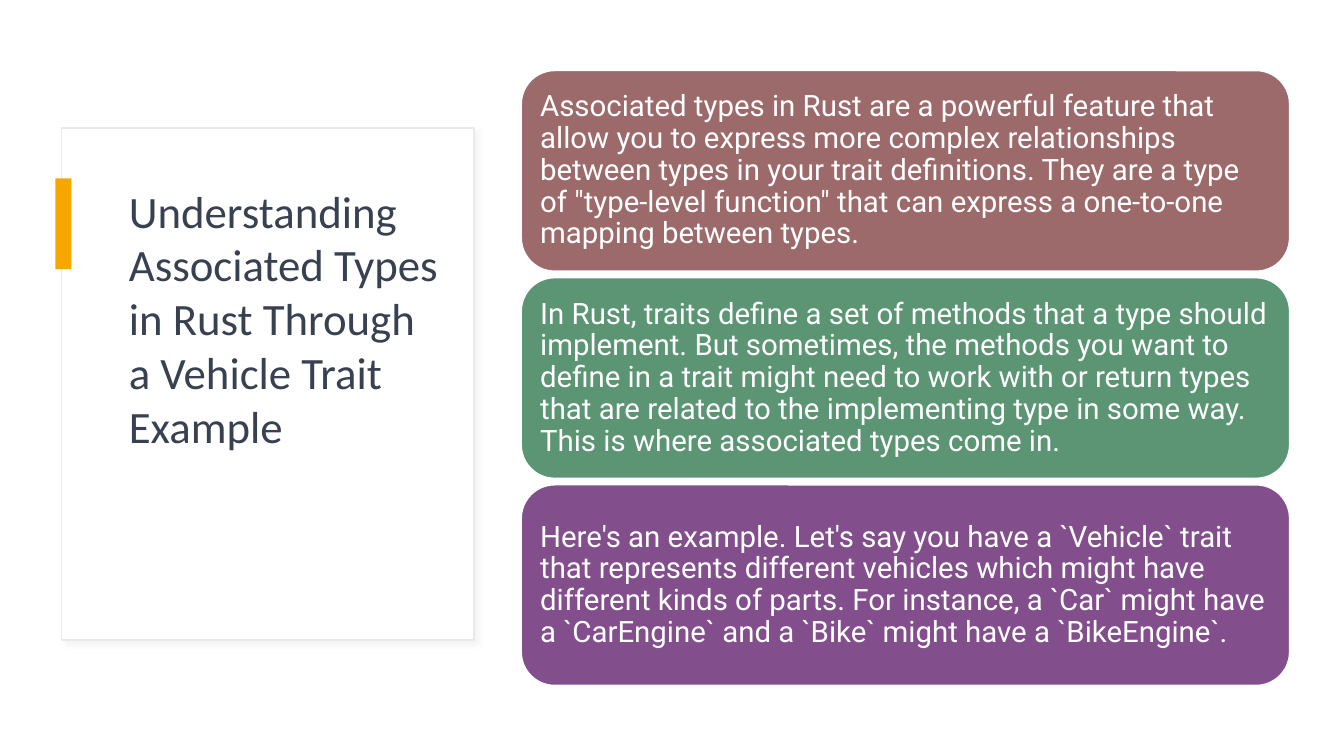
from lxml import etree
from pptx import Presentation
from pptx import util as u
from pptx.dml.color import RGBColor
from pptx.enum import shapes, text
from pptx.oxml import ns

WHITE = RGBColor(0xFF, 0xFF, 0xFF)
BORDER = RGBColor(0xE9, 0xE9, 0xE9)
SHADOW = RGBColor(0xD9, 0xD9, 0xD9)
AMBER = RGBColor(0xF5, 0xA7, 0x00)
SLATE = RGBColor(0x37, 0x41, 0x51)
ROSE = RGBColor(0x9C, 0x6A, 0x6A)
GREEN = RGBColor(0x5B, 0x95, 0x74)
PURPLE = RGBColor(0x82, 0x4F, 0x8C)

TITLE = "Understanding Associated Types in Rust Through a Vehicle Trait Example"
PANELS = [
    (ROSE, "Associated types in Rust are a powerful feature that allow you to "
     "express more complex relationships between types in your trait "
     "definitions. They are a type of \"type-level function\" that can express "
     "a one-to-one mapping between types."),
    (GREEN, "In Rust, traits define a set of methods that a type should "
     "implement. But sometimes, the methods you want to define in a trait might "
     "need to work with or return types that are related to the implementing "
     "type in some way. This is where associated types come in."),
    (PURPLE, "Here's an example. Let's say you have a `Vehicle` trait that "
     "represents different vehicles which might have different kinds of parts. "
     "For instance, a `Car` might have a `CarEngine` and a `Bike` might have a "
     "`BikeEngine`."),
]
PANEL_TOP, PANEL_HEIGHT, PANEL_PITCH = 0.7, 1.99, 2.055


def write(frame, words, *, font, size, color, spacing=1.0, inset=None,
          anchor=text.MSO_ANCHOR.TOP):
    """Fill a text frame with one left-aligned paragraph."""
    frame.word_wrap = True
    frame.vertical_anchor = anchor
    if inset is not None:
        frame.margin_left = frame.margin_right = u.Inches(inset)
        frame.margin_top = frame.margin_bottom = u.Inches(inset)
    para = frame.paragraphs[0]
    para.alignment = text.PP_ALIGN.LEFT
    para.line_spacing = spacing
    span = para.add_run()
    span.text = words
    span.font.name = font
    span.font.size = u.Pt(size)
    span.font.color.rgb = color


class Page:
    heading_font = "Calibri"
    body_font = "Roboto"

    def __init__(self, slide):
        self.slide = slide

    def block(self, kind, left, top, width, height, fill, line=None):
        box = self.slide.shapes.add_shape(
            kind, u.Inches(left), u.Inches(top), u.Inches(width), u.Inches(height))
        box.shadow.inherit = False
        box.fill.solid()
        box.fill.fore_color.rgb = fill
        if line is None:
            box.line.fill.background()
        else:
            box.line.color.rgb = line
            box.line.width = u.Pt(1)
        return box

    def card(self, left, top, width, height):
        box = self.block(shapes.MSO_SHAPE.RECTANGLE, left, top, width, height,
                         WHITE, BORDER)
        # Soft shadow towards the lower right
        effects = box._element.spPr.find(ns.qn("a:effectLst"))
        shadow = etree.SubElement(
            effects, ns.qn("a:outerShdw"), blurRad=str(u.Pt(4)),
            dist=str(u.Pt(3)), dir=str(45 * 60000), algn="tl", rotWithShape="0")
        color = etree.SubElement(shadow, ns.qn("a:srgbClr"), val=str(SHADOW))
        etree.SubElement(color, ns.qn("a:alpha"), val="30000")

    def panel(self, left, top, width, height, fill, words):
        box = self.block(shapes.MSO_SHAPE.ROUNDED_RECTANGLE, left, top, width,
                         height, fill, WHITE)
        write(box.text_frame, words, font=self.body_font, size=21, color=WHITE,
              spacing=0.9, inset=0.09, anchor=text.MSO_ANCHOR.MIDDLE)

    def heading(self, left, top, width, height, words):
        box = self.slide.shapes.add_textbox(
            u.Inches(left), u.Inches(top), u.Inches(width), u.Inches(height))
        write(box.text_frame, words, font=self.heading_font, size=32, color=SLATE)


def main():
    deck = Presentation()
    deck.slide_width, deck.slide_height = u.Inches(13.33), u.Inches(7.5)
    page = Page(deck.slides.add_slide(deck.slide_layouts[6]))

    # Title card with its accent bar
    page.card(0.61, 1.27, 4.09, 5.08)
    page.block(shapes.MSO_SHAPE.RECTANGLE, 0.55, 1.77, 0.16, 0.9, AMBER)
    page.heading(1.18, 1.77, 3.3, 2.79, TITLE)

    # Stacked text panels
    for row, (fill, words) in enumerate(PANELS):
        page.panel(5.17, PANEL_TOP + row * PANEL_PITCH, 7.62, PANEL_HEIGHT,
                   fill, words)

    deck.save("out.pptx")


if __name__ == "__main__":
    main()
